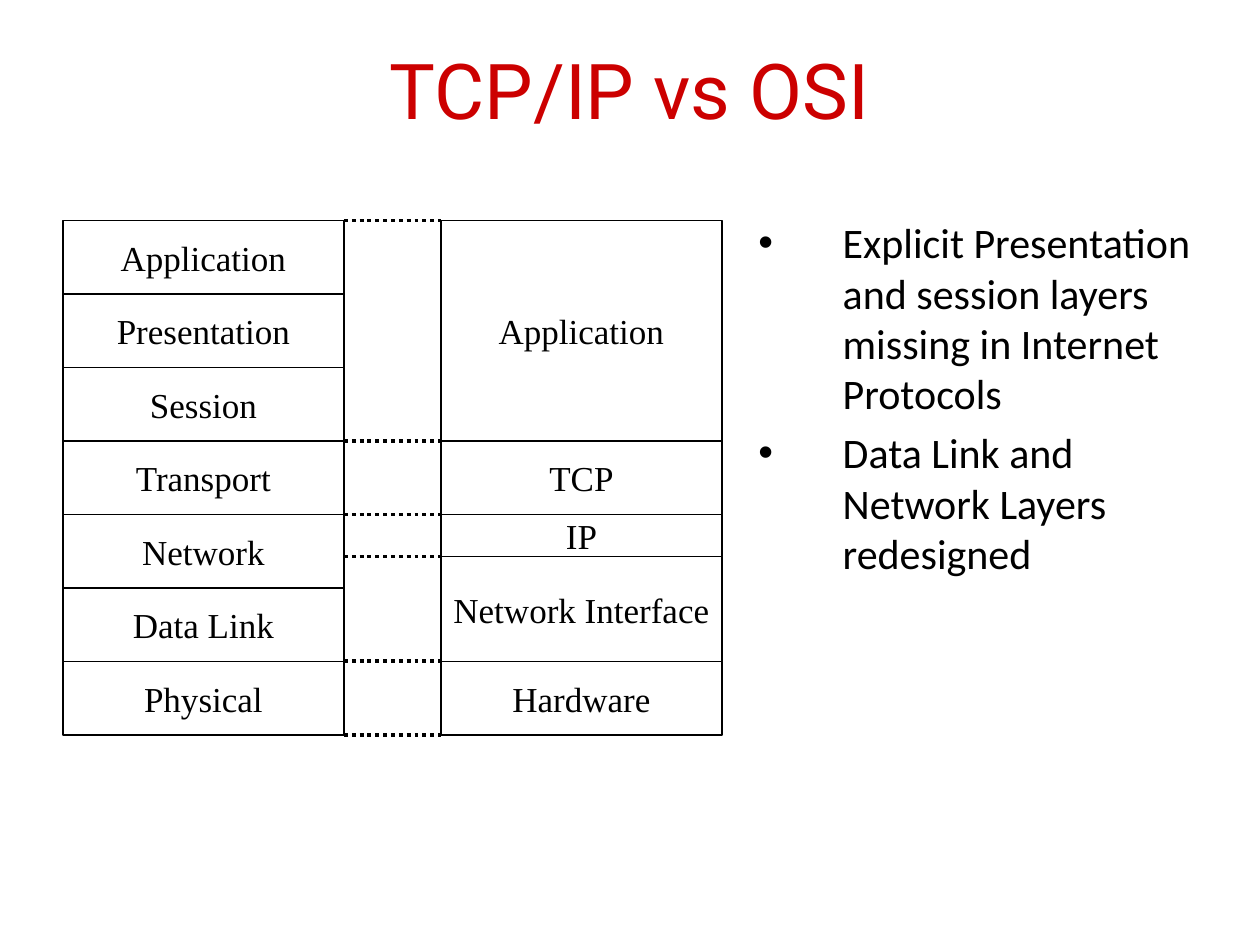
from dataclasses import dataclass

from lxml import etree
from pptx import Presentation
from pptx.dml.color import RGBColor
from pptx.enum.dml import MSO_LINE
from pptx.enum.shapes import MSO_CONNECTOR, MSO_SHAPE
from pptx.enum.text import MSO_ANCHOR, PP_ALIGN
from pptx.oxml.ns import qn
from pptx.slide import Slide
from pptx.text.text import TextFrame
from pptx.util import Inches, Pt

RECTANGLE = MSO_SHAPE.RECTANGLE
STRAIGHT = MSO_CONNECTOR.STRAIGHT
DOTTED = MSO_LINE.ROUND_DOT
MIDDLE = MSO_ANCHOR.MIDDLE
CENTER = PP_ALIGN.CENTER
LEFT = PP_ALIGN.LEFT

BLACK = "000000"
WHITE = "FFFFFF"
RED = "CC0000"

STACK_TOP = 1.75
STACK_WIDTH = 2.23
OSI_LEFT = 0.5
TCP_IP_LEFT = 3.5
UNITS_PER_INCH = 12
LAYER_UNITS = 7
BULLET_INDENT = 0.67


@dataclass
class Layer:
    name: str
    units: int = LAYER_UNITS


OSI_LAYERS = [
    Layer("Application"),
    Layer("Presentation"),
    Layer("Session"),
    Layer("Transport"),
    Layer("Network"),
    Layer("Data Link"),
    Layer("Physical"),
]
TCP_IP_LAYERS = [
    Layer("Application", 3 * LAYER_UNITS),
    Layer("TCP"),
    Layer("IP", 4),
    Layer("Network Interface", 10),
    Layer("Hardware"),
]
REMARKS = [
    "Explicit Presentation and session layers missing in Internet Protocols",
    "Data Link and Network Layers redesigned",
]


def color(value: str) -> RGBColor:
    return RGBColor.from_string(value)


def format_text(text_frame: TextFrame, font_name: str, size: float,
                text_color: str, alignment: PP_ALIGN) -> None:
    for paragraph in text_frame.paragraphs:
        paragraph.alignment = alignment
        for run in paragraph.runs:
            run.font.name = font_name
            run.font.size = Pt(size)
            run.font.color.rgb = color(text_color)


def add_title(slide: Slide, text: str) -> None:
    shape = slide.shapes.add_textbox(Inches(0.75), Inches(0.08), Inches(8.5), Inches(1.25))
    text_frame = shape.text_frame
    text_frame.word_wrap = True
    text_frame.vertical_anchor = MIDDLE
    text_frame.text = text
    format_text(text_frame, "Roboto", 44, RED, CENTER)


def add_remarks(slide: Slide, remarks: list[str]) -> None:
    shape = slide.shapes.add_textbox(Inches(5.92), Inches(1.67), Inches(3.83), Inches(5.42))
    text_frame = shape.text_frame
    text_frame.word_wrap = True
    text_frame.text = "\n".join(remarks)
    for index, paragraph in enumerate(text_frame.paragraphs):
        if index:
            paragraph.space_before = Pt(4.8)
        properties = paragraph._p.get_or_add_pPr()
        properties.set("marL", str(Inches(BULLET_INDENT)))
        properties.set("indent", str(-Inches(BULLET_INDENT)))
        font = etree.SubElement(properties, qn("a:buFont"))
        font.set("typeface", "Arial")
        bullet = etree.SubElement(properties, qn("a:buChar"))
        bullet.set("char", "•")
    format_text(text_frame, "Calibri", 24, BLACK, LEFT)


def add_layer(slide: Slide, layer: Layer, left: float, top: float) -> None:
    shape = slide.shapes.add_shape(
        RECTANGLE, Inches(left), Inches(top),
        Inches(STACK_WIDTH), Inches(layer.units / UNITS_PER_INCH))
    shape.shadow.inherit = False
    shape.fill.solid()
    shape.fill.fore_color.rgb = color(WHITE)
    shape.line.color.rgb = color(BLACK)
    shape.line.width = Pt(1)
    text_frame = shape.text_frame
    text_frame.word_wrap = False
    text_frame.vertical_anchor = MIDDLE
    text_frame.text = layer.name
    format_text(text_frame, "Times New Roman", 20, BLACK, CENTER)


def add_stack(slide: Slide, layers: list[Layer], left: float) -> list[float]:
    boundaries = [STACK_TOP]
    for layer in layers:
        add_layer(slide, layer, left, boundaries[-1])
        boundaries.append(boundaries[-1] + layer.units / UNITS_PER_INCH)
    return boundaries


def add_boundary(slide: Slide, top: float) -> None:
    connector = slide.shapes.add_connector(
        STRAIGHT, Inches(OSI_LEFT + STACK_WIDTH), Inches(top),
        Inches(TCP_IP_LEFT), Inches(top))
    connector.line.color.rgb = color(BLACK)
    connector.line.width = Pt(2.25)
    connector.line.dash_style = DOTTED
    etree.SubElement(connector._element.spPr, qn("a:effectLst"))


def main() -> None:
    presentation = Presentation()
    presentation.slide_width = Inches(10)
    presentation.slide_height = Inches(7.5)
    slide = presentation.slides.add_slide(presentation.slide_layouts[6])
    add_remarks(slide, REMARKS)
    add_title(slide, "TCP/IP vs OSI")
    add_stack(slide, OSI_LAYERS, OSI_LEFT)
    for boundary in add_stack(slide, TCP_IP_LAYERS, TCP_IP_LEFT):
        add_boundary(slide, boundary)
    presentation.save("out.pptx")


if __name__ == "__main__":
    main()
